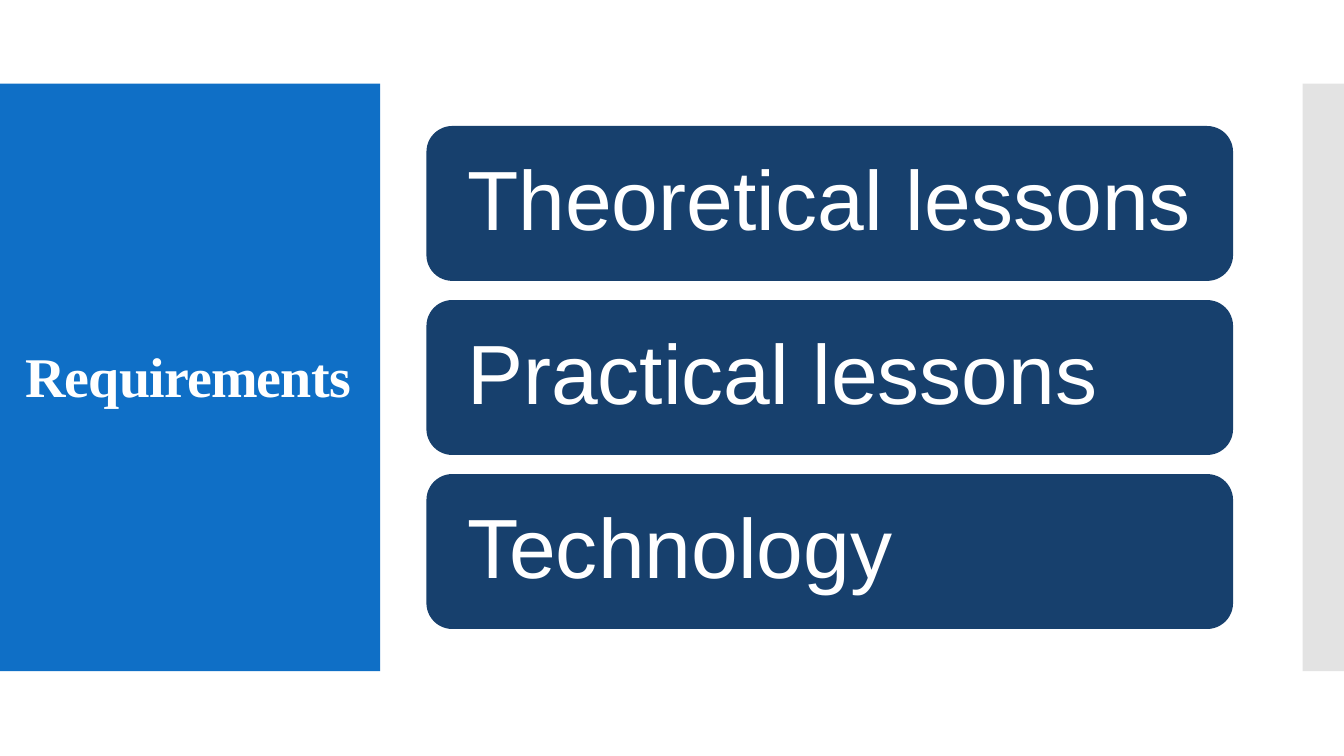
from dataclasses import dataclass

from lxml import etree
from pptx import Presentation
from pptx import util as u
from pptx.dml.color import RGBColor
from pptx.enum import shapes, text
from pptx.oxml import ns


@dataclass(frozen=True)
class Theme:
    blue: str = "0F6FC6"
    navy: str = "17406D"
    grey: str = "C8C8C8"
    white: str = "FFFFFF"
    head: int = 40
    item: int = 60


THEME = Theme()
ITEMS = ["Theoretical lessons", "Practical lessons", "Technology"]


def put(obj, vals):
    for key, val in vals.items():
        setattr(obj, key, val)


def place(shape, box):
    names = ("left", "top", "width", "height")
    put(shape, dict(zip(names, map(u.Inches, box))))


def block(slide, kind, box, color):
    shape = slide.shapes.add_shape(kind, *map(u.Inches, box))
    shape.shadow.inherit = False
    shape.fill.solid()
    shape.fill.fore_color.rgb = RGBColor.from_string(color)
    shape.line.fill.background()
    return shape


def write(shape, words, inset, align, font):
    frame = shape.text_frame
    put(frame, {
        "word_wrap": True,
        "auto_size": text.MSO_AUTO_SIZE.NONE,
        "vertical_anchor": text.MSO_ANCHOR.MIDDLE,
        "margin_left": u.Inches(inset), "margin_right": u.Inches(inset),
        "margin_top": u.Inches(inset), "margin_bottom": u.Inches(inset),
    })
    para = frame.paragraphs[0]
    put(para, {"alignment": align, "line_spacing": 0.9})
    run = para.add_run()
    run.text = words
    put(run.font, font)
    run.font.color.rgb = RGBColor.from_string(THEME.white)
    return run


def side(slide, box):
    """Blue panel with the title centred on it."""
    x, y, w, h = box
    panel = block(slide, shapes.MSO_SHAPE.RECTANGLE, box, THEME.blue)
    title = slide.shapes.title
    panel._element.addnext(title._element)
    place(title, (x, y + 0.4, w - 0.04, h - 0.76))
    run = write(title, "Requirements", 0.1, text.PP_ALIGN.CENTER, {
        "name": "Times New Roman", "size": u.Pt(THEME.head), "bold": True})
    run.font._element.set("spc", "-60")


def edge(slide, box):
    """Half-transparent strip at the right edge."""
    strip = block(slide, shapes.MSO_SHAPE.RECTANGLE, box, THEME.grey)
    color = strip._element.spPr.find(".//" + ns.qn("a:srgbClr"))
    etree.SubElement(color, ns.qn("a:alpha")).set("val", "50000")


def cards(slide, box, gap=0.19):
    """Equal rounded cards stacked to fill the box."""
    x, y, w, h = box
    tall = (h - gap * (len(ITEMS) - 1)) / len(ITEMS)
    for i, words in enumerate(ITEMS):
        card = block(slide, shapes.MSO_SHAPE.ROUNDED_RECTANGLE,
                     (x, y + i * (tall + gap), w, tall), THEME.navy)
        write(card, words, 0.33, text.PP_ALIGN.LEFT, {
            "name": "Arial", "size": u.Pt(THEME.item)})


def main():
    deck = Presentation()
    put(deck, {"slide_width": u.Inches(13.33),
               "slide_height": u.Inches(7.5)})
    slide = deck.slides.add_slide(deck.slide_layouts[5])
    side(slide, (0, 0.83, 3.77, 5.83))
    edge(slide, (12.92, 0.83, 0.41, 5.83))
    cards(slide, (4.23, 1.25, 8, 4.99))
    deck.save("out.pptx")


if __name__ == "__main__":
    main()
